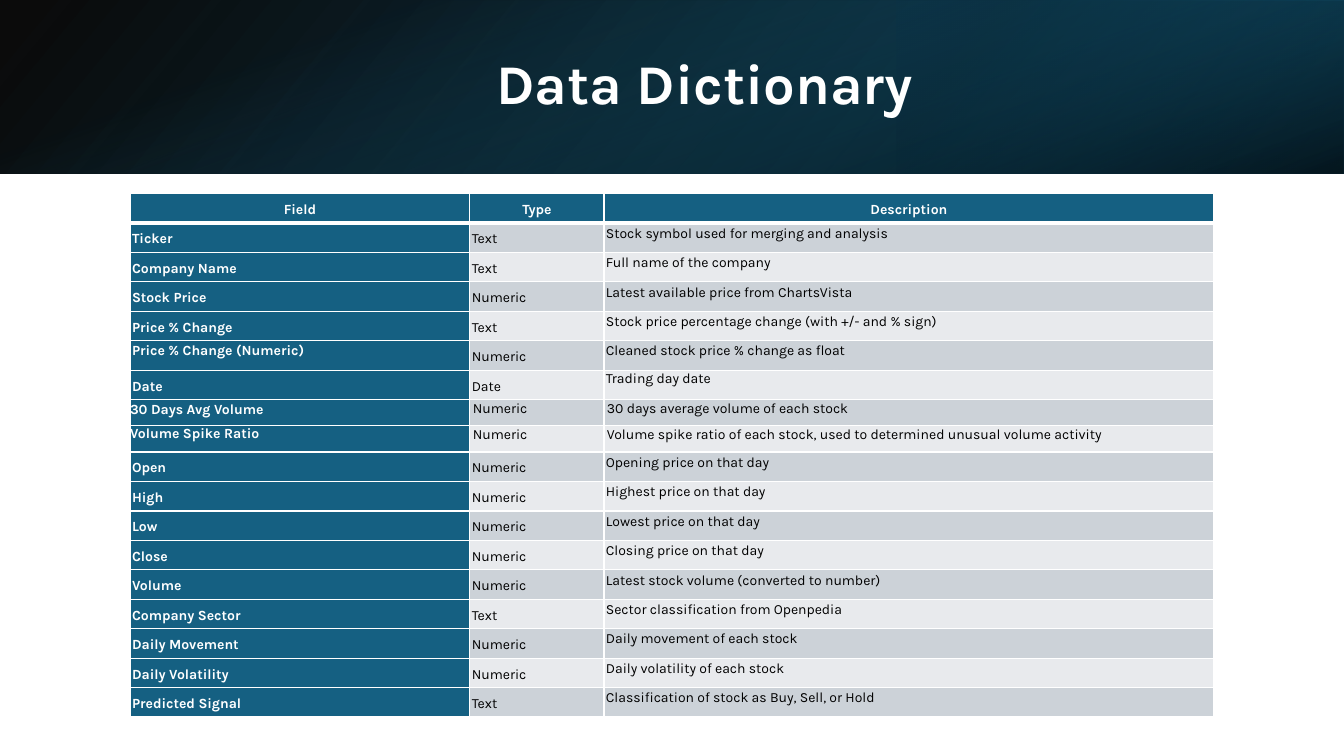
from dataclasses import dataclass
from typing import Optional

from pptx import Presentation
from pptx.dml.color import RGBColor as RGB
from pptx.enum.shapes import MSO_SHAPE as SHAPE
from pptx.enum.text import MSO_ANCHOR as ANCHOR, PP_ALIGN as ALIGN
from pptx.oxml import parse_xml
from pptx.oxml.ns import nsdecls, qn
from pptx.util import Inches, Pt


@dataclass(frozen=True)
class Theme:
    """Colours, font and type sizes of the slide."""
    font: str = "Karla"
    white: str = "FFFFFF"
    black: str = "000000"
    teal: str = "156082"
    bands: tuple[str, str] = ("CCD2D8", "E8EAED")
    title_pt: int = 40
    table_pt: int = 10
    after_pt: int = 8
    grid_pt: int = 1
    header_rule_pt: int = 3


@dataclass(frozen=True)
class Stop:
    """Gradient stop with position and opacity in percent."""
    pos: int
    color: str
    opacity: int


@dataclass(frozen=True)
class Wash:
    """Gradient rectangle of the header band."""
    box: tuple[float, float, float, float]
    stops: tuple[Stop, Stop]
    angle: int
    rotation: int = 0
    flip: bool = False


@dataclass(frozen=True)
class Entry:
    """Dictionary row with the line spacing of each column."""
    field: str
    kind: str
    desc: str
    spacing: tuple[Optional[float], ...] = (1.5, 1.5, 1.15)
    compact: bool = False


@dataclass(frozen=True)
class CellStyle:
    """Look of one table cell."""
    fill: str
    color: str
    bold: bool
    spacing: Optional[float]
    inset: tuple[float, float] = (0.02, 0)
    align: ALIGN = ALIGN.LEFT
    top_pt: int = 1
    bottom_pt: int = 1


THEME = Theme()
BAND_H = 1.72
SLIDE_W = 13.33
TABLE_BOX = (1.29, 1.92, 10.76, 5.2)
COL_WIDTHS = (3.37, 1.33, 6.05)
COMPACT_H = 0.26
HEADINGS = ("Field", "Type", "Description")

WASHES = (
    Wash((0, 0, SLIDE_W, BAND_H), (Stop(0, THEME.black, 96), Stop(100, "104862", 100)),
         140, flip=True),
    Wash((8.89, 0, 4.44, BAND_H), (Stop(19, "0B3041", 68), Stop(100, THEME.teal, 79)),
         320, rotation=180, flip=True),
    Wash((5.8, -5.8, BAND_H, SLIDE_W), (Stop(23, THEME.teal, 0), Stop(99, THEME.black, 74)),
         340, rotation=90),
)

ENTRIES = (
    Entry("Ticker", "Text", "Stock symbol used for merging and analysis"),
    Entry("Company Name", "Text", "Full name of the company"),
    Entry("Stock Price", "Numeric", "Latest available price from ChartsVista"),
    Entry("Price % Change", "Text", "Stock price percentage change (with +/- and % sign)"),
    Entry("Price % Change (Numeric)", "Numeric", "Cleaned stock price % change as float",
          (1.15, 1.5, 1.15)),
    Entry("Date", "Date", "Trading day date", (1.5, 1.5, None)),
    Entry("30 Days Avg Volume", "Numeric", "30 days average volume of each stock",
          (1.15, None, None), True),
    Entry("Volume Spike Ratio", "Numeric",
          "Volume spike ratio of each stock, used to determined unusual volume activity",
          (None, None, None), True),
    Entry("Open", "Numeric", "Opening price on that day"),
    Entry("High", "Numeric", "Highest price on that day"),
    Entry("Low", "Numeric", "Lowest price on that day"),
    Entry("Close", "Numeric", "Closing price on that day"),
    Entry("Volume", "Numeric", "Latest stock volume (converted to number)"),
    Entry("Company Sector", "Text", "Sector classification from Openpedia"),
    Entry("Daily Movement", "Numeric", "Daily movement of each stock"),
    Entry("Daily Volatility", "Numeric", "Daily volatility of each stock"),
    Entry("Predicted Signal", "Text", "Classification of stock as Buy, Sell, or Hold"),
)


def add_run(p, text: str, size: int, color: str, bold: bool) -> None:
    """Append a styled run to a paragraph."""
    r = p.add_run()
    r.text = text
    r.font.name = THEME.font
    r.font.size = Pt(size)
    r.font.bold = bold
    r.font.color.rgb = RGB.from_string(color)


def add_wash(slide, wash: Wash) -> None:
    """Draw a gradient rectangle."""
    s = slide.shapes.add_shape(SHAPE.RECTANGLE, *map(Inches, wash.box))
    s.shadow.inherit = False
    s.line.fill.background()
    s.rotation = wash.rotation
    sp_pr = s._element.spPr
    if wash.flip:
        sp_pr.find(qn("a:xfrm")).set("flipH", "1")
    stops = "".join(
        f'<a:gs pos="{stop.pos * 1000}"><a:srgbClr val="{stop.color}">'
        f'<a:alpha val="{stop.opacity * 1000}"/></a:srgbClr></a:gs>'
        for stop in wash.stops)
    sp_pr.find(qn("a:prstGeom")).addnext(parse_xml(
        f'<a:gradFill {nsdecls("a")} rotWithShape="1"><a:gsLst>{stops}</a:gsLst>'
        f'<a:lin ang="{wash.angle * 60000}" scaled="0"/></a:gradFill>'))


def add_title(slide) -> None:
    """Draw the slide title."""
    s = slide.shapes.add_textbox(*map(Inches, (1.5, 0.38, 10.98, 0.96)))
    tf = s.text_frame
    tf.word_wrap = True
    tf.vertical_anchor = ANCHOR.MIDDLE
    p = tf.paragraphs[0]
    p.alignment = ALIGN.CENTER
    p.line_spacing = 0.9
    add_run(p, "Data Dictionary", THEME.title_pt, THEME.white, True)


def fill_cell(cell, text: str, style: CellStyle) -> None:
    """Write and format one table cell."""
    cell.fill.solid()
    cell.fill.fore_color.rgb = RGB.from_string(style.fill)
    cell.margin_left = cell.margin_right = Inches(style.inset[0])
    cell.margin_top = cell.margin_bottom = Inches(style.inset[1])
    p = cell.text_frame.paragraphs[0]
    p.alignment = style.align
    if style.spacing:
        p.line_spacing = style.spacing
        p.space_after = Pt(THEME.after_pt)
    add_run(p, text, THEME.table_pt, style.color, style.bold)
    edges = {"L": THEME.grid_pt, "R": THEME.grid_pt, "T": style.top_pt, "B": style.bottom_pt}
    for i, (side, width) in enumerate(edges.items()):
        cell._tc.get_or_add_tcPr().insert(i, parse_xml(
            f'<a:ln{side} {nsdecls("a")} w="{Pt(width)}"><a:solidFill>'
            f'<a:srgbClr val="{THEME.white}"/></a:solidFill></a:ln{side}>'))


def entry_style(entry: Entry, row: int, col: int) -> CellStyle:
    """Return the look of an entry cell."""
    is_field = col == 0
    inset = (0.02, 0)
    if entry.compact:
        inset = (0, 0) if is_field else (0.03, 0.01)
    return CellStyle(
        THEME.teal if is_field else THEME.bands[row % 2],
        THEME.white if is_field else THEME.black,
        is_field, entry.spacing[col], inset,
        top_pt=THEME.grid_pt if row else THEME.header_rule_pt)


def add_dictionary(slide) -> None:
    """Draw the data dictionary table."""
    table = slide.shapes.add_table(
        len(ENTRIES) + 1, len(HEADINGS), *map(Inches, TABLE_BOX)).table
    table.horz_banding = False
    for column, width in zip(table.columns, COL_WIDTHS):
        column.width = Inches(width)
    compact = sum(entry.compact for entry in ENTRIES)
    row_h = (TABLE_BOX[3] - compact * COMPACT_H) / (len(ENTRIES) + 1 - compact)
    table.rows[0].height = Inches(row_h)
    header = CellStyle(THEME.teal, THEME.white, True, 1.5, align=ALIGN.CENTER,
                       bottom_pt=THEME.header_rule_pt)
    for col, heading in enumerate(HEADINGS):
        fill_cell(table.cell(0, col), heading, header)
    for row, entry in enumerate(ENTRIES):
        table.rows[row + 1].height = Inches(COMPACT_H if entry.compact else row_h)
        for col, text in enumerate((entry.field, entry.kind, entry.desc)):
            fill_cell(table.cell(row + 1, col), text, entry_style(entry, row, col))


def main() -> None:
    """Build and save the slide."""
    prs = Presentation()
    prs.slide_width, prs.slide_height = Inches(SLIDE_W), Inches(7.5)
    slide = prs.slides.add_slide(prs.slide_layouts[6])
    for wash in WASHES:
        add_wash(slide, wash)
    add_title(slide)
    add_dictionary(slide)
    prs.save("out.pptx")


if __name__ == "__main__":
    main()
